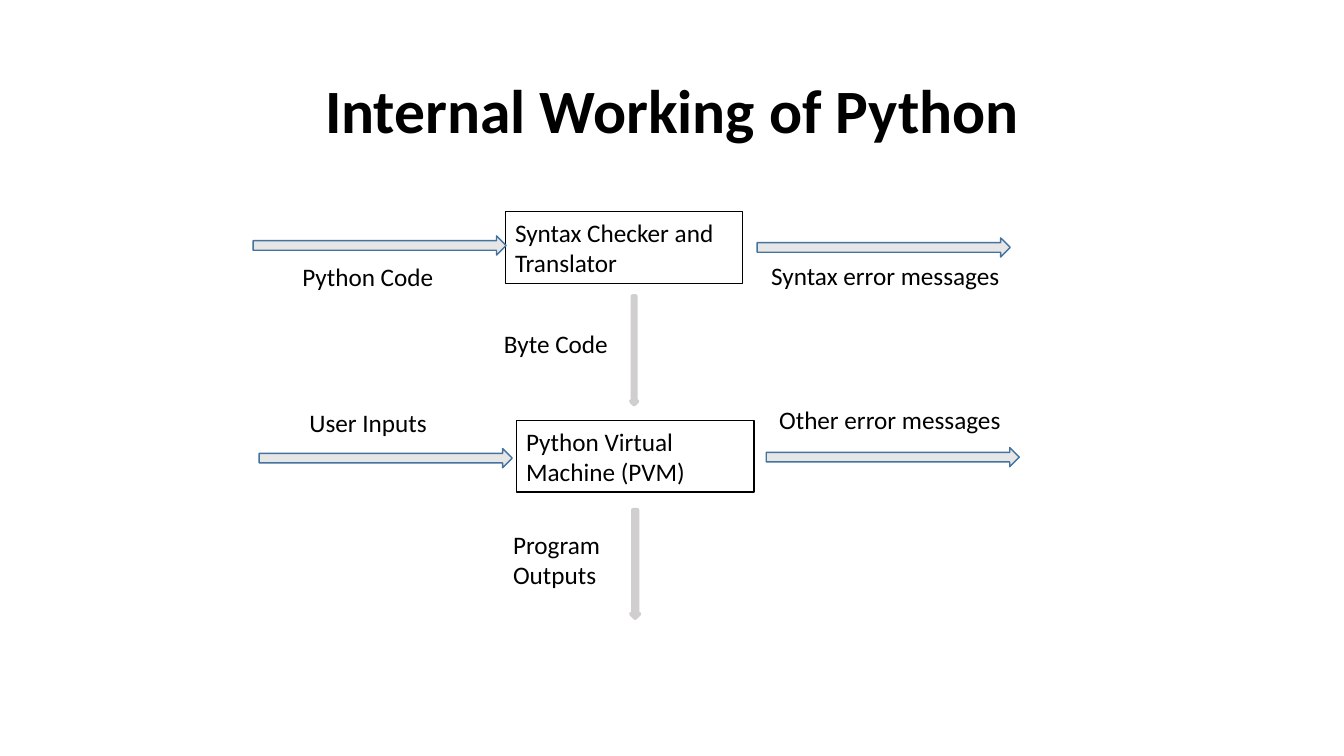
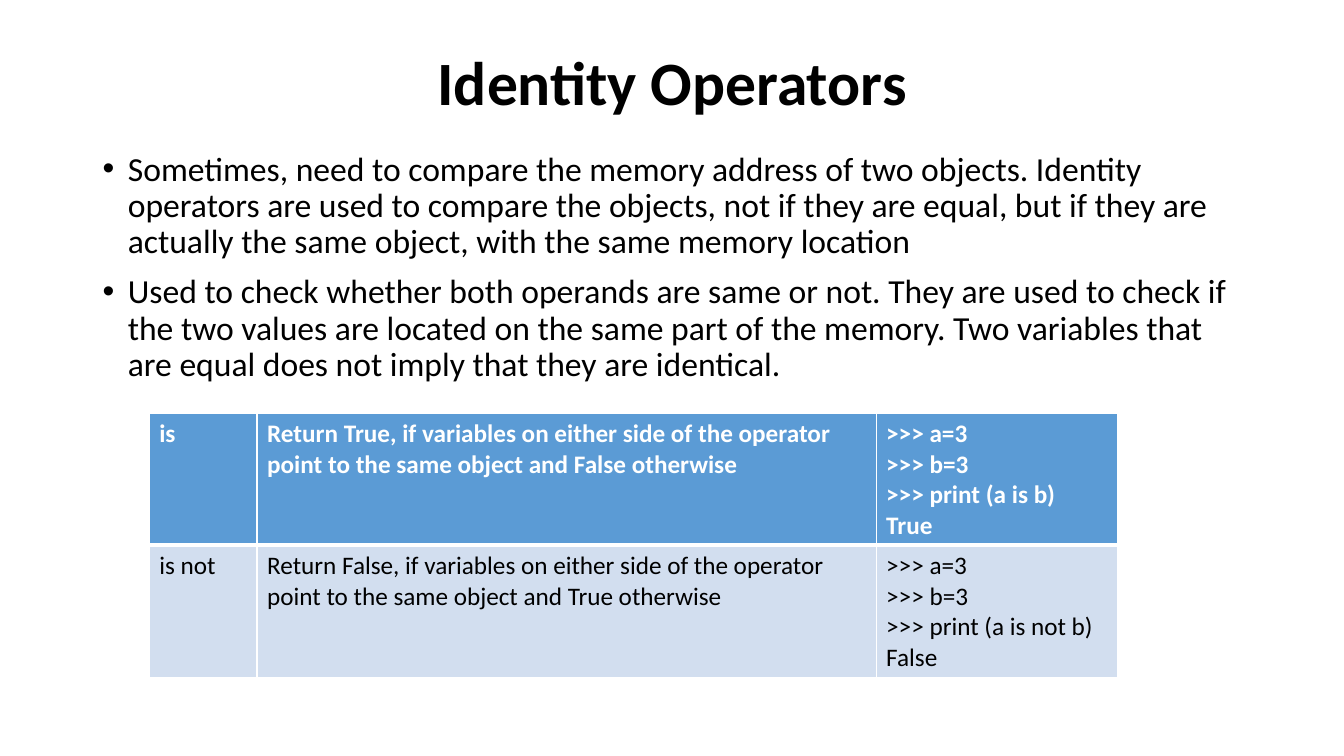
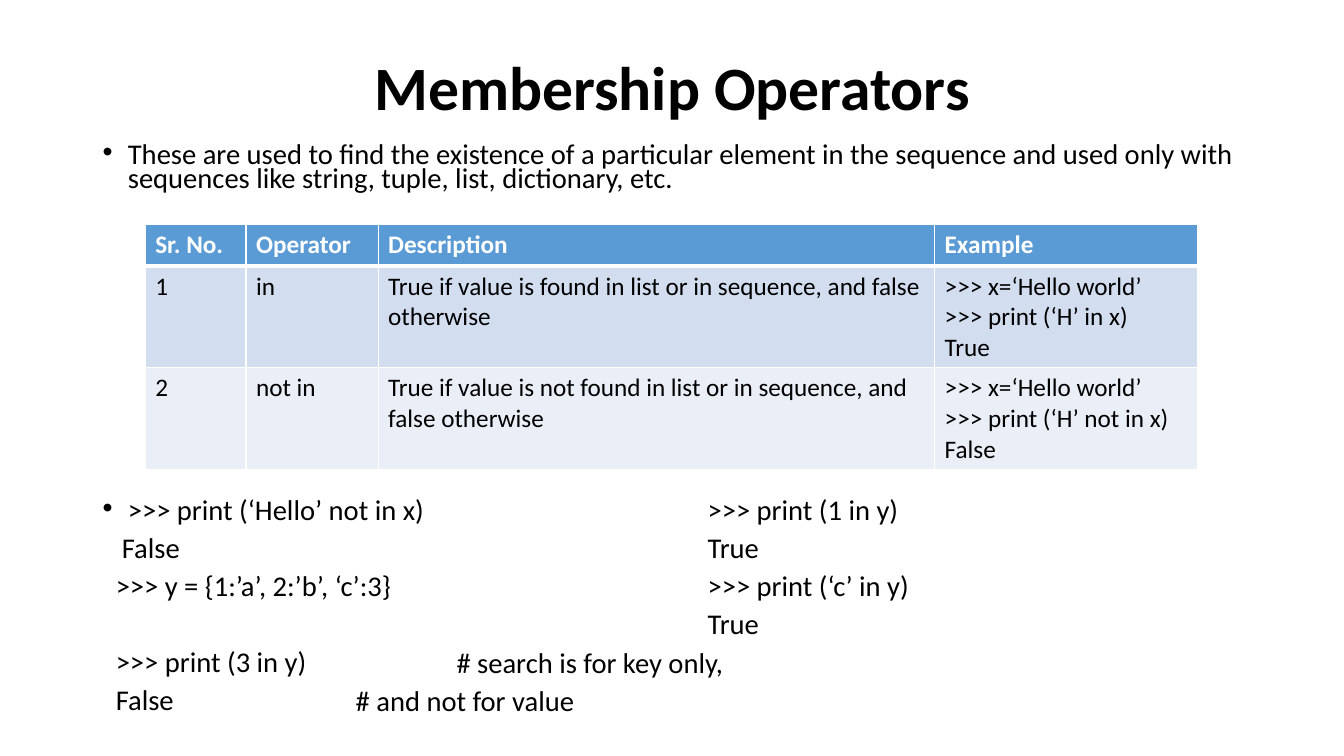
import pptx
import pptx.util
import pptx.dml.color
import pptx.enum.shapes
import pptx.enum.text
import pptx.oxml.ns
import lxml.etree

PX = 9144  # 100 px to the inch
FONT = "Calibri"
BLACK, WHITE, BLUE = "000000", "FFFFFF", "5B9BD5"
PALE, GREY, EDGE, STEM = "D2DEEF", "E7E6E6", "43739E", "D0CECE"
BANDS = [BLUE, PALE, "EAEFF7"]
KIND = pptx.enum.shapes.MSO_SHAPE
ANCHOR = pptx.enum.text.MSO_ANCHOR
ALIGN = pptx.enum.text.PP_ALIGN
qn = pptx.oxml.ns.qn


def hue(code):
    return pptx.dml.color.RGBColor.from_string(code)


def put(frame, lines, size=18, code=BLACK, bold=False, pitch=None, gap=0):
    """Fill a text frame with one paragraph per line."""
    frame.word_wrap = True
    for i, line in enumerate(lines):
        para = frame.paragraphs[0] if i == 0 else frame.add_paragraph()
        para.alignment = ALIGN.LEFT
        para.space_before = pptx.util.Pt(gap)
        if pitch:
            para.line_spacing = pitch
        run = para.add_run()
        run.text = line
        run.font.name = FONT
        run.font.size = pptx.util.Pt(size)
        run.font.bold = bold
        run.font.color.rgb = hue(code)
    return frame.paragraphs


deck = pptx.Presentation()
deck.slide_width, deck.slide_height = 1333 * PX, 750 * PX

# Pages with their titles
pages = []
for title, high in [("Internal Working of Python", 145),
                    ("Identity Operators", 90),
                    ("Membership Operators", 99)]:
    page = deck.slides.add_slide(deck.slide_layouts[6])
    box = page.shapes.add_textbox(92 * PX, 40 * PX, 1150 * PX, high * PX)
    box.text_frame.vertical_anchor = ANCHOR.MIDDLE
    put(box.text_frame, [title], 44, bold=True, pitch=0.9)[0].alignment = ALIGN.CENTER
    pages.append(page)
flow, same, member = pages

# Flow: boxes and arrows
RECT, RIGHT, DOWN = KIND.RECTANGLE, KIND.RIGHT_ARROW, KIND.DOWN_ARROW
for kind, x, y, w, h, fill, edge, weight, text in [
    (RECT, 501, 210, 236, 71, None, BLACK, 0.75, "Syntax Checker and Translator"),
    (RECT, 512, 417, 236, 71, None, BLACK, 1, "Python Virtual Machine (PVM)"),
    (RIGHT, 251, 234, 251, 19, GREY, EDGE, 1, ""),
    (RIGHT, 751, 236, 251, 19, GREY, EDGE, 1, ""),
    (RIGHT, 257, 445, 251, 19, GREY, EDGE, 1, ""),
    (RIGHT, 760, 444, 251, 19, GREY, EDGE, 1, ""),
    (DOWN, 626, 294, 6, 107, BLUE, STEM, 3, ""),
    (DOWN, 626, 506, 8, 107, None, STEM, 3, ""),
]:
    shape = flow.shapes.add_shape(kind, x * PX, y * PX, w * PX, h * PX)
    shape.shadow.inherit = False
    if fill:
        shape.fill.solid()
        shape.fill.fore_color.rgb = hue(fill)
    else:
        shape.fill.background()
    shape.line.color.rgb = hue(edge)
    shape.line.width = pptx.util.Pt(weight)
    if text:
        put(shape.text_frame, [text])

# Flow: labels
for x, y, w, h, lines in [
    (290, 254, 160, 40, ["Python Code"]),
    (755, 253, 260, 40, ["Syntax error messages"]),
    (297, 399, 160, 40, ["User Inputs"]),
    (490, 321, 124, 40, ["Byte Code"]),
    (499, 520, 109, 71, ["Program", "Outputs"]),
    (763, 396, 260, 40, ["Other error messages"]),
]:
    box = flow.shapes.add_textbox(x * PX, y * PX, w * PX, h * PX)
    put(box.text_frame, lines)

# Body text
box = same.shapes.add_textbox(92 * PX, 146 * PX, 1150 * PX, 250 * PX)
dots = list(put(box.text_frame, [
    "Sometimes, need to compare the memory address of two objects. Identity "
    "operators are used to compare the objects, not if they are equal, but if "
    "they are actually the same object, with the same memory location",
    "Used to check whether both operands are same or not. They are used to "
    "check if the two values are located on the same part of the memory. Two "
    "variables that are equal does not imply that they are identical.",
], 24, pitch=0.9, gap=10))

box = member.shapes.add_textbox(92 * PX, 139 * PX, 1150 * PX, 70 * PX)
dots += put(box.text_frame, [
    "These are used to find the existence of a particular element in the "
    "sequence and used only with sequences like string, tuple, list, "
    "dictionary, etc.",
], 20.4, pitch=0.7, gap=10)

# Code in columns on a common row pitch
TOP, ROW = 492, 38
cols = []
for x, row, w, lines in [
    (92, 0, 400, [">>> print (‘Hello’ not in x)", "False",
                  ">>> y = {1:’a’, 2:’b’, ‘c’:3}", ">>> print (3 in y)", "False"]),
    (692, 0, 400, [">>> print (1 in y)", "True", ">>> print (‘c’ in y)", "True"]),
    (443, 4, 400, ["# search is for key only,"]),
    (343, 5, 400, ["# and not for value"]),
]:
    box = member.shapes.add_textbox(x * PX, (TOP + row * ROW) * PX,
                                    w * PX, len(lines) * ROW * PX)
    cols.append(put(box.text_frame, lines, 20.4, pitch=0.7, gap=10))
left = cols[0]
dots.append(left[0])
for para, pad in zip(left[1:], [19, 13, 13, 13]):
    para._p.get_or_add_pPr().set("marL", str(pad * PX))
left[3].space_before = pptx.util.Pt(37.4)  # leaves one row open

# Bullets
for para in dots:
    prop = para._p.get_or_add_pPr()
    prop.set("marL", str(25 * PX))
    prop.set("indent", str(-25 * PX))
    lxml.etree.SubElement(prop, qn("a:buFont")).set("typeface", "Arial")
    lxml.etree.SubElement(prop, qn("a:buChar")).set("char", "•")

# Tables: blue first row, pale bands, white rules
for page, x, y, wide, tall, rows in [
    (same, 148, 410, [107, 614, 240], [131, 131], [
        ["is",
         "Return True, if variables on either side of the operator point to "
         "the same object and False otherwise",
         ">>> a=3\n>>> b=3\n>>> print (a is b)\nTrue"],
        ["is not",
         "Return False, if variables on either side of the operator point to "
         "the same object and True otherwise",
         ">>> a=3\n>>> b=3\n>>> print (a is not b)\nFalse"],
    ]),
    (member, 144, 223, [100, 131, 552, 261], [41, 101, 101], [
        ["Sr. No.", "Operator", "Description", "Example"],
        ["1", "in",
         "True if value is found in list or in sequence, and false otherwise",
         ">>> x=‘Hello world’\n>>> print (‘H’ in x)\nTrue"],
        ["2", "not in",
         "True if value is not found in list or in sequence, and false otherwise",
         ">>> x=‘Hello world’\n>>> print (‘H’ not in x)\nFalse"],
    ]),
]:
    grid = page.shapes.add_table(len(rows), len(wide), x * PX, y * PX,
                                 sum(wide) * PX, sum(tall) * PX).table
    for col, w in zip(grid.columns, wide):
        col.width = w * PX
    for r, texts in enumerate(rows):
        grid.rows[r].height = tall[r] * PX
        for c, text in enumerate(texts):
            cell = grid.cell(r, c)
            put(cell.text_frame, text.split("\n"),
                code=BLACK if r else WHITE, bold=r == 0)
            prop = cell._tc.get_or_add_tcPr()
            for side in ["lnL", "lnR", "lnT", "lnB"]:
                thick = (r, side) in [(0, "lnB"), (1, "lnT")]
                rule = lxml.etree.SubElement(prop, qn("a:" + side))
                rule.set("w", str(pptx.util.Pt(3 if thick else 1)))
                ink = lxml.etree.SubElement(rule, qn("a:solidFill"))
                lxml.etree.SubElement(ink, qn("a:srgbClr")).set("val", WHITE)
            cell.fill.solid()
            cell.fill.fore_color.rgb = hue(BANDS[r])

deck.save("out.pptx")
